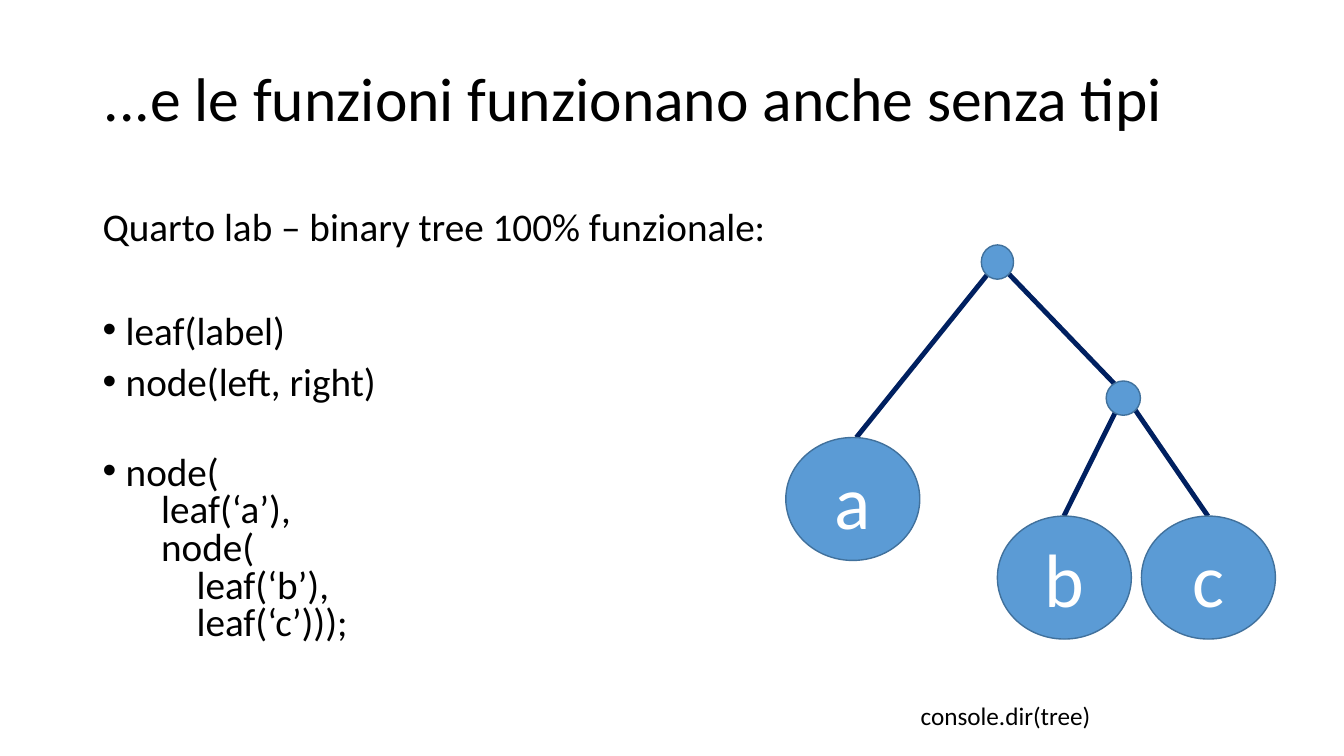
from dataclasses import dataclass

from lxml.etree import SubElement
from pptx import Presentation
from pptx.dml.color import RGBColor as RGB
from pptx.enum.shapes import MSO_CONNECTOR as LINE, MSO_SHAPE as SHAPE
from pptx.enum.text import MSO_ANCHOR as ANCHOR, PP_ALIGN as ALIGN
from pptx.oxml.ns import qn
from pptx.slide import Slide
from pptx.text.text import TextFrame
from pptx.util import Emu, Pt

SCALE = 9144
FONT = "Calibri"


@dataclass
class Box:
    left: int
    top: int
    width: int
    height: int


@dataclass
class Node:
    box: Box
    label: str = ""


@dataclass
class Edge:
    x1: int
    y1: int
    x2: int
    y2: int


@dataclass
class Para:
    text: str
    before: int = 0
    bullet: bool = False


ROOT, FORK = (990, 260), (1116, 391)
EDGES = [
    Edge(1199, 512, *FORK),
    Edge(1056, 512, *FORK),
    Edge(850, 434, *ROOT),
    Edge(*FORK, *ROOT),
]
NODES = [
    Node(Box(1098, 378, 34, 34)),
    Node(Box(974, 243, 32, 34)),
    Node(Box(780, 434, 133, 122), "a"),
    Node(Box(990, 512, 133, 122), "b"),
    Node(Box(1133, 512, 133, 122), "c"),
]
CODE = """node(
    leaf(‘a’),
    node(
        leaf(‘b’),
        leaf(‘c’)));"""
BODY = [
    Para("Quarto lab – binary tree 100% funzionale:"),
    Para("leaf(label)", 47, True),
    Para("node(left, right)", 10, True),
    Para(CODE, 37, True),
]


def px(num: int) -> Emu:
    """Turn px into EMU."""
    return Emu(num * SCALE)


def place(box: Box) -> tuple[Emu, Emu, Emu, Emu]:
    """Give the position and size of a box in EMU."""
    return px(box.left), px(box.top), px(box.width), px(box.height)


def color(code: str) -> RGB:
    """Turn a hex string into a colour."""
    return RGB.from_string(code)


def write(frame: TextFrame, paras: list[Para], *, size: int, ink: str = "000000",
          align: ALIGN = ALIGN.LEFT, anchor: ANCHOR = ANCHOR.TOP,
          space: float = 1.0, wrap: bool = True) -> None:
    """Fill a frame with formatted paragraphs."""
    frame.word_wrap, frame.vertical_anchor = wrap, anchor
    for i, item in enumerate(paras):
        para = frame.add_paragraph() if i else frame.paragraphs[0]
        para.text = item.text
        para.alignment, para.line_spacing = align, space
        if item.before:
            para.space_before = Pt(item.before)
        if item.bullet:
            props = para._p.get_or_add_pPr()
            props.set("marL", str(px(23)))
            props.set("indent", str(px(-23)))
            SubElement(props, qn("a:buFont"), typeface="Arial")
            SubElement(props, qn("a:buChar"), char="•")
        for run in para.runs:
            run.font.name, run.font.size = FONT, Pt(size)
            run.font.color.rgb = color(ink)


def draw_edge(slide: Slide, edge: Edge) -> None:
    """Draw one branch of the tree."""
    line = slide.shapes.add_connector(
        LINE.STRAIGHT, px(edge.x1), px(edge.y1), px(edge.x2), px(edge.y2))
    line.line.color.rgb, line.line.width = color("002060"), Pt(3.5)
    SubElement(line._element.spPr, qn("a:effectLst"))


def draw_node(slide: Slide, node: Node) -> None:
    """Draw one node of the tree with its label."""
    oval = slide.shapes.add_shape(SHAPE.OVAL, *place(node.box))
    oval.shadow.inherit = False
    oval.fill.solid()
    oval.fill.fore_color.rgb = color("5B9BD5")
    oval.line.color.rgb, oval.line.width = color("41719C"), Pt(1)
    if node.label:
        write(oval.text_frame, [Para(node.label)], size=54, ink="FFFFFF",
              align=ALIGN.CENTER, anchor=ANCHOR.MIDDLE)


def add_text(slide: Slide, box: Box, paras: list[Para], **style) -> None:
    """Add a text box with formatted paragraphs."""
    write(slide.shapes.add_textbox(*place(box)).text_frame, paras, **style)


def main() -> None:
    """Build the slide and save it."""
    deck = Presentation()
    deck.slide_width, deck.slide_height = px(1334), px(750)
    slide = deck.slides.add_slide(deck.slide_layouts[6])
    add_text(slide, Box(92, 205, 1150, 471), BODY, size=28, space=0.8)
    for edge in EDGES:
        draw_edge(slide, edge)
    for node in NODES:
        draw_node(slide, node)
    add_text(slide, Box(93, 39, 1150, 124),
             [Para("...e le funzioni funzionano anche senza tipi")],
             size=44, anchor=ANCHOR.MIDDLE, space=0.9)
    add_text(slide, Box(904, 690, 189, 40), [Para("console.dir(tree)")],
             size=18, wrap=False)
    deck.save("out.pptx")


if __name__ == "__main__":
    main()
